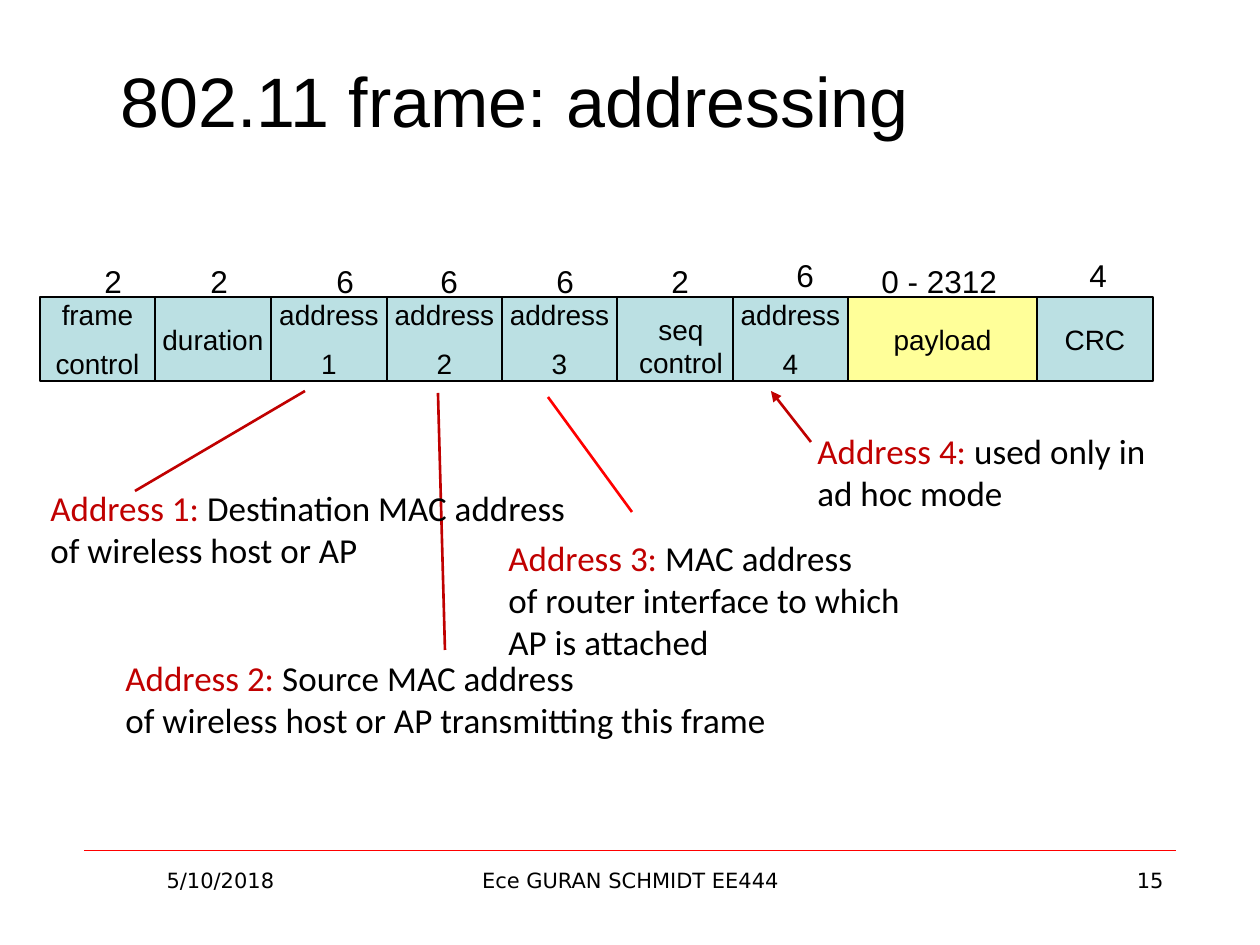
"""Build the 802.11 frame addressing slide."""
from itertools import pairwise

from lxml import etree
from pptx import Presentation
from pptx import util as u
from pptx.dml.color import RGBColor
from pptx.enum import shapes, text
from pptx.oxml.ns import qn

SCALE = 914400 / 126
COLOURS = {"black": "000000", "teal": "BBE0E3", "yellow": "FFFF99",
           "dark red": "C00000", "red": "FF0000"}
ALIGN = text.PP_ALIGN


def write(box, lines, font, size, align=ALIGN.LEFT, wrap=False, middle=False, gap=0):
    """Fill a shape with lines, each a list of (words, colour) runs."""
    frame = box.text_frame
    frame.word_wrap = wrap
    frame.vertical_anchor = text.MSO_ANCHOR.MIDDLE if middle else text.MSO_ANCHOR.TOP
    for index, runs in enumerate(lines):
        para = frame.add_paragraph() if index else frame.paragraphs[0]
        para.alignment = align
        if index and gap:
            para.space_before = u.Pt(gap)
        for words, colour in runs:
            span = para.add_run()
            span.text = words
            span.font.name, span.font.size = font, u.Pt(size)
            span.font.color.rgb = RGBColor.from_string(COLOURS[colour])


def draw_line(ends, colour, width, arrow=False):
    """Draw a straight line, with an arrowhead at its end if asked."""
    line = page.shapes.add_connector(
        shapes.MSO_CONNECTOR.STRAIGHT, *[round(v * SCALE) for v in ends])
    line.line.color.rgb = RGBColor.from_string(COLOURS[colour])
    line.line.width = u.Pt(width)
    if arrow:
        etree.SubElement(line.line._get_or_add_ln(), qn("a:tailEnd"), type="triangle")
    etree.SubElement(line._element.spPr, qn("a:effectLst"))


deck = Presentation()
deck.slide_width, deck.slide_height = u.Inches(10), u.Inches(7.5)
page = deck.slides.add_slide(deck.slide_layouts[6])

draw_line((84, 850, 1176, 850), "red", 0.25)

edges = [40, 155, 271, 387, 502, 617, 733, 848, 1037, 1153]
fields = [["frame", "control"], ["duration"], ["address", "1"], ["address", "2"],
          ["address", "3"], [], ["address", "4"], ["payload"], ["CRC"]]
for (left, right), words in zip(pairwise(edges), fields):
    place = [round(v * SCALE) for v in (left, 297, right - left, 84)]
    cell = page.shapes.add_shape(shapes.MSO_SHAPE.RECTANGLE, *place)
    cell.shadow.inherit = False
    cell.fill.solid()
    fill = "yellow" if words == ["payload"] else "teal"
    cell.fill.fore_color.rgb = RGBColor.from_string(COLOURS[fill])
    cell.line.color.rgb = RGBColor.from_string(COLOURS["black"])
    cell.line.width = u.Pt(0.75)
    write(cell, [[(word, "black")] for word in words], "Arial", 16,
          ALIGN.CENTER, middle=True, gap=9)

byte_counts = [("2", 92, 256), ("2", 198, 256), ("6", 324, 256), ("6", 428, 256),
               ("6", 544, 256), ("2", 659, 256), ("6", 784, 250),
               ("0 - 2312", 869, 256), ("4", 1077, 250)]
for count, left, top in byte_counts:
    width = 141 if len(count) > 1 else 43
    box = page.shapes.add_textbox(*[round(v * SCALE) for v in (left, top, width, 50)])
    write(box, [[(count, "black")]], "Arial", 18)

labels = [
    ((626, 306, 110, 81), ["seq", "control"], "Arial", 16, ALIGN.CENTER, False, False),
    ((73, 21, 883, 158), ["802.11 frame: addressing"], "Arial", 40, ALIGN.CENTER, True, True),
    ((84, 861, 273, 66), ["5/10/2018"], "DejaVu Sans", 12, ALIGN.CENTER, True, False),
    ((431, 861, 399, 66), ["Ece GURAN SCHMIDT EE444"], "DejaVu Sans", 12,
     ALIGN.CENTER, True, False),
    ((903, 861, 273, 66), ["15"], "DejaVu Sans", 12, ALIGN.RIGHT, True, False),
]
for place, lines, *style in labels:
    box = page.shapes.add_textbox(*[round(v * SCALE) for v in place])
    write(box, [[(words, "black")] for words in lines], *style)

pointers = [((135, 491, 305, 391), "dark red", False),
            ((445, 650, 438, 393), "dark red", False),
            ((632, 512, 548, 397), "red", False),
            ((811, 442, 771, 391), "dark red", True)]
for ends, colour, arrow in pointers:
    draw_line(ends, colour, 1.5, arrow)

notes = [
    ("Address 1: ", (38, 480, 552, 97), False,
     ["Destination MAC address", "of wireless host or AP"]),
    ("Address 2: ", (113, 650, 675, 97), False,
     ["Source MAC address", "of wireless host or AP transmitting this frame"]),
    ("Address 3: ", (496, 530, 421, 140), True,
     ["MAC address", "of router interface to which AP is attached"]),
    ("Address 4: ", (805, 423, 359, 97), True, ["used only in ad hoc mode"]),
]
for name, place, wrap, (first, *rest) in notes:
    box = page.shapes.add_textbox(*[round(v * SCALE) for v in place])
    lines = [[(name, "dark red"), (first, "black")]]
    lines += [[(words, "black")] for words in rest]
    write(box, lines, "Calibri", 20, wrap=wrap)

deck.save("out.pptx")
